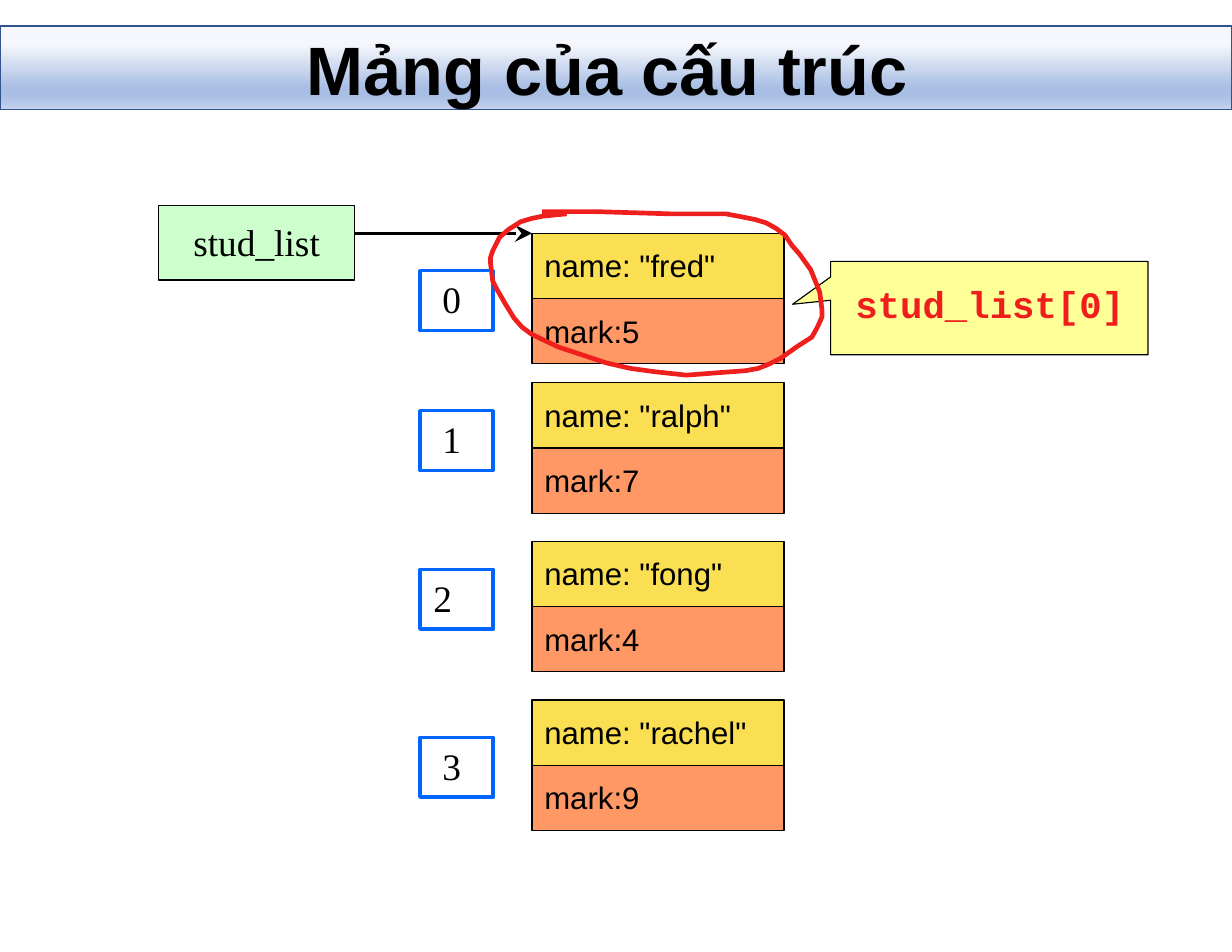
from dataclasses import dataclass

from lxml import etree
from pptx import Presentation
from pptx import util as u
from pptx.dml.color import RGBColor
from pptx.enum import shapes, text
from pptx.oxml.ns import qn

CELL = u.Inches(1) // 12
SANS, SERIF, MONO = "Arial", "Times New Roman", "Courier New"
BLACK, RED = "000000", "EF1E1C"
YELLOW, ORANGE, GREEN, CREAM, BLUE = "FBDF52", "FF9865", "CCFFCC", "FFFF98", "0065FF"
BAND_STOPS = [(0, "F5F7FC"), (22, "F5F7FC"), (74, "A9BEE4"), (83, "A9BEE4"), (100, "C5D3ED")]
LASSO = [
    (506, 191), (495, 192), (485, 193), (475, 195), (465, 198), (454, 205), (446, 212),
    (440, 224), (438, 230), (438, 235), (440, 251), (443, 257), (451, 271), (459, 284),
    (466, 292), (474, 298), (484, 303), (499, 310), (520, 317), (541, 324), (563, 329),
    (585, 332), (613, 335), (639, 333), (666, 331), (677, 329), (687, 325), (697, 320),
    (711, 310), (725, 301), (730, 292), (734, 283), (734, 277), (732, 261), (724, 241),
    (714, 227), (707, 219), (701, 210), (693, 204), (684, 199), (674, 196), (659, 193),
    (648, 191), (599, 191), (533, 189), (484, 189),
]


@dataclass(frozen=True)
class Area:
    """A rectangle in columns and rows of the grid."""
    col: float
    row: float
    cols: float
    rows: float


@dataclass(frozen=True)
class Style:
    """Look of a box; margins are in inches and sizes in points."""
    fill: str | None
    line: str
    weight: float
    font: str
    size: float
    top: float
    left: float
    color: str = BLACK
    bold: bool = False


@dataclass(frozen=True)
class Student:
    """One array element with the rows of its record and its index box."""
    name: str
    mark: int
    row: int
    index_row: int
    index_left: float = 0.2


STUDENTS = [
    Student("fred", 5, 25, 29),
    Student("ralph", 7, 41, 44),
    Student("fong", 4, 58, 61, 0.12),
    Student("rachel", 9, 75, 79),
]


def rgb(value: str) -> RGBColor:
    """Turn a hex string into a colour."""
    return RGBColor.from_string(value)


def grid(count: float) -> u.Emu:
    """Turn a number of grid cells into a length."""
    return u.Emu(round(count * CELL))


def write(box, words: str, style: Style) -> None:
    """Put one left-aligned line of text in a box."""
    frame = box.text_frame
    frame.word_wrap = False
    frame.auto_size = text.MSO_AUTO_SIZE.NONE
    frame.vertical_anchor = text.MSO_ANCHOR.TOP
    frame.margin_left, frame.margin_top = u.Inches(style.left), u.Inches(style.top)
    frame.margin_right = frame.margin_bottom = 0
    frame.text = words
    para = frame.paragraphs[0]
    para.alignment = text.PP_ALIGN.LEFT
    para.font.name, para.font.size, para.font.bold = style.font, u.Pt(style.size), style.bold
    para.font.color.rgb = rgb(style.color)


def outline(box, color: str, weight: float) -> None:
    """Give a shape a line and no shadow."""
    box.shadow.inherit = False
    box.line.color.rgb, box.line.width = rgb(color), u.Pt(weight)


def add_box(page, area: Area, words: str, style: Style, kind=shapes.MSO_SHAPE.RECTANGLE):
    """Draw a labelled preset shape on the grid."""
    box = page.shapes.add_shape(
        kind, grid(area.col), grid(area.row), grid(area.cols), grid(area.rows))
    outline(box, style.line, style.weight)
    if style.fill:
        box.fill.solid()
        box.fill.fore_color.rgb = rgb(style.fill)
    else:
        box.fill.background()
    write(box, words, style)
    return box


def add_heading(deck, page) -> None:
    """Draw the gradient band and set the title over it."""
    band = page.shapes.add_shape(
        shapes.MSO_SHAPE.RECTANGLE, 0, u.Inches(0.23), deck.slide_width, u.Inches(0.75))
    outline(band, "31538F", 1)
    band.fill.gradient()
    band.fill.gradient_angle = 270
    stops = band.element.spPr.find(qn("a:gradFill")).find(qn("a:gsLst"))
    for stop in list(stops):
        stops.remove(stop)
    for share, color in BAND_STOPS:
        stop = etree.SubElement(stops, qn("a:gs"), pos=str(share * 1000))
        etree.SubElement(stop, qn("a:srgbClr"), val=color)

    title = page.shapes.title
    title.left, title.top = u.Inches(2.73), u.Inches(0.26)
    title.width, title.height = u.Inches(5.53), u.Inches(0.68)
    write(title, "Mảng của cấu trúc", Style(None, BLACK, 0, SANS, 44, 0.01, 0.01, bold=True))
    title.text_frame.vertical_anchor = text.MSO_ANCHOR.MIDDLE
    title.element.addprevious(band.element)


def add_student(page, index: int, student: Student) -> None:
    """Draw the two fields of a record and its index box."""
    fields = [(f'name: "{student.name}"', YELLOW), (f"mark:{student.mark}", ORANGE)]
    for place, (words, fill) in enumerate(fields):
        area = Area(57, student.row + 7 * place, 27, 7)
        add_box(page, area, words, Style(fill, BLACK, 0.75, SANS, 20, 0.12, 0.11))
    add_box(page, Area(45, student.index_row, 7.85, 6.4), str(index),
            Style(None, BLUE, 2.25, SERIF, 24, 0.05, student.index_left))


def add_pointer(page) -> None:
    """Draw the array name and its arrow to the first record."""
    add_box(page, Area(17, 22, 21, 8), "stud_list",
            Style(GREEN, BLACK, 0.75, SERIF, 24, 0.12, 0.31))
    arrow = page.shapes.add_connector(
        shapes.MSO_CONNECTOR.STRAIGHT, grid(38), grid(25), grid(57), grid(25))
    arrow.line.color.rgb, arrow.line.width = rgb(BLACK), u.Pt(2.25)
    etree.SubElement(arrow.line._get_or_add_ln(), qn("a:tailEnd"),
                     type="stealth", w="lg", len="lg")
    etree.SubElement(arrow.element.spPr, qn("a:effectLst"))


def add_callout(page) -> None:
    """Draw the callout and the hand-drawn ring around the first record."""
    callout = add_box(page, Area(89, 28, 34, 10), "stud_list[0]",
                      Style(CREAM, BLACK, 0.75, MONO, 24, 0.18, 0.22, RED, True),
                      shapes.MSO_SHAPE.RECTANGULAR_CALLOUT)
    callout.adjustments[0], callout.adjustments[1] = -0.62, -0.04
    builder = page.shapes.build_freeform(*LASSO[0], scale=u.Inches(0.01))
    builder.add_line_segments(LASSO[1:], close=False)
    ring = builder.convert_to_shape()
    ring.fill.background()
    outline(ring, "EF1F1D", 3)


def main() -> None:
    """Build the slide and save it."""
    deck = Presentation()
    deck.slide_width, deck.slide_height = u.Inches(11), u.Inches(8.5)
    page = deck.slides.add_slide(deck.slide_layouts[0])
    subtitle = page.placeholders[1].element
    subtitle.getparent().remove(subtitle)
    add_heading(deck, page)
    for index, student in enumerate(STUDENTS):
        add_student(page, index, student)
    add_pointer(page)
    add_callout(page)
    deck.save("out.pptx")


if __name__ == "__main__":
    main()
